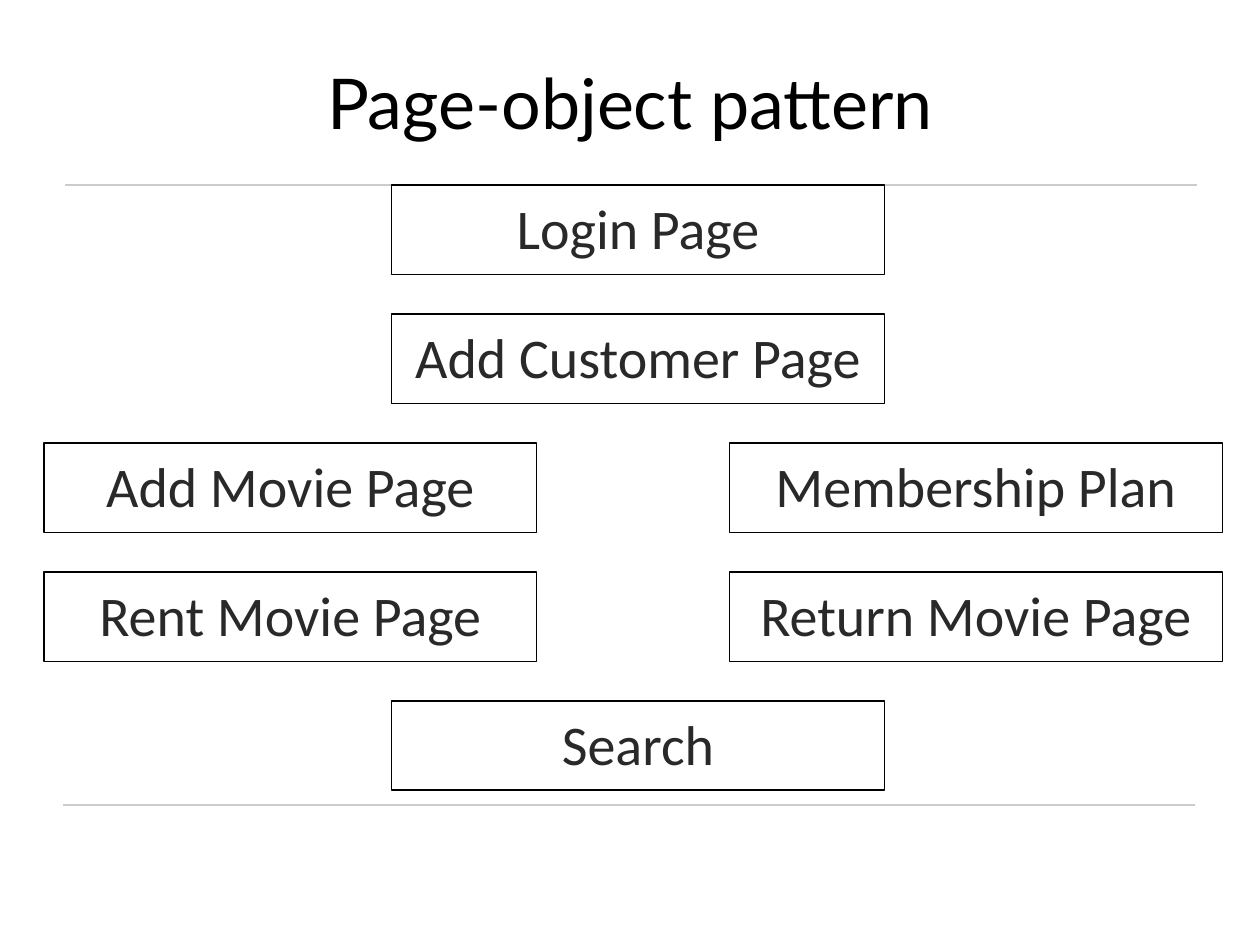
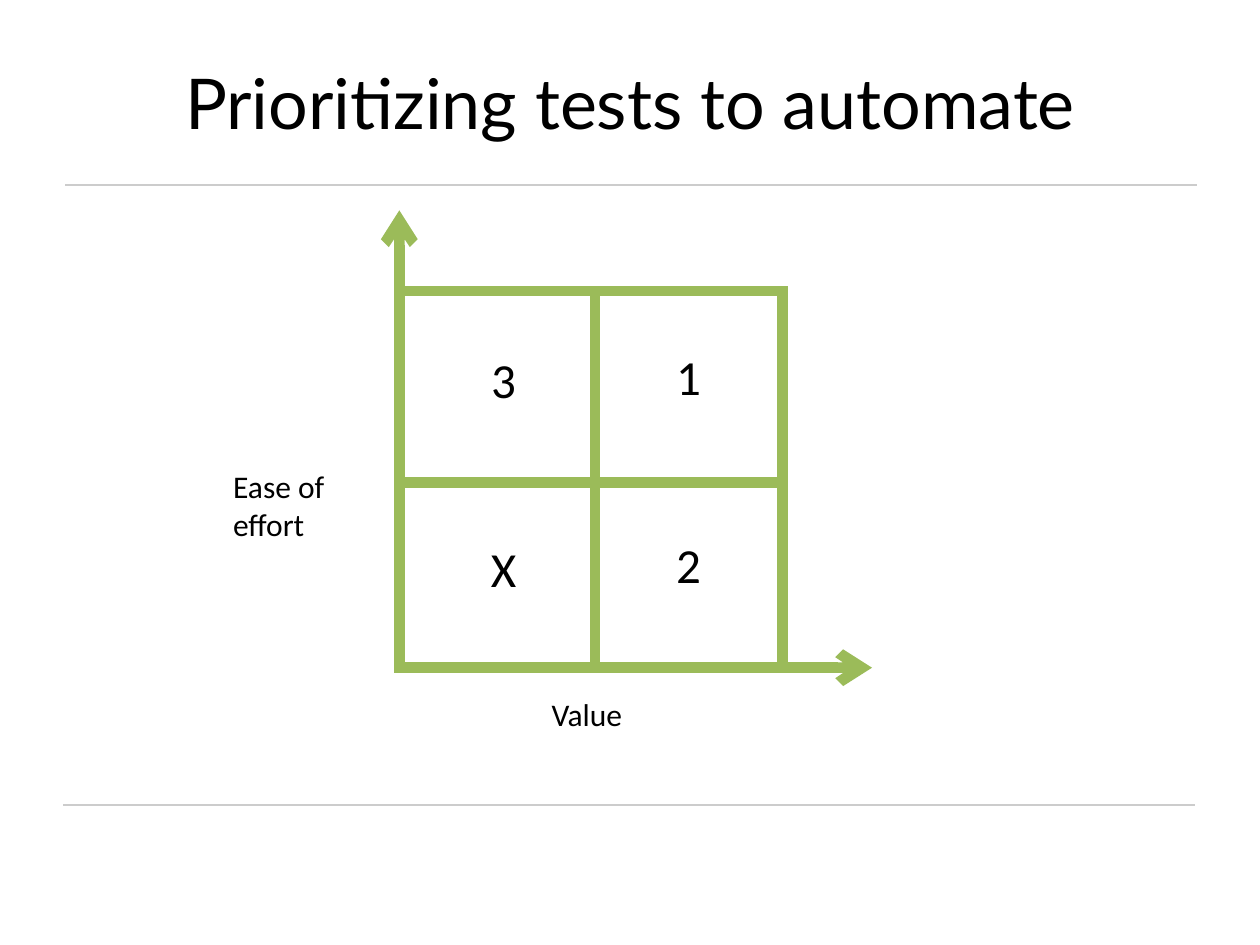
"""Build two test-automation slides: page objects and a priority matrix."""
from lxml import etree
from pptx import Presentation
from pptx.dml.color import RGBColor
from pptx.enum.shapes import MSO_CONNECTOR, MSO_SHAPE
from pptx.enum.text import MSO_ANCHOR, MSO_AUTO_SIZE, PP_ALIGN
from pptx.oxml.ns import qn
from pptx.util import Cm, Pt

STRAIGHT, RECTANGLE = MSO_CONNECTOR.STRAIGHT, MSO_SHAPE.RECTANGLE
TOP, MIDDLE = MSO_ANCHOR.TOP, MSO_ANCHOR.MIDDLE
LEFT, CENTER = PP_ALIGN.LEFT, PP_ALIGN.CENTER
GROW = MSO_AUTO_SIZE.SHAPE_TO_FIT_TEXT
BLACK = RGBColor(0x00, 0x00, 0x00)
CHARCOAL = RGBColor(0x29, 0x29, 0x29)
RULE_GREY = RGBColor(0xCC, 0xCC, 0xCC)
GREEN = RGBColor(0x9B, 0xBB, 0x59)

TITLE_FORMAT = {"name": "Lato", "size": Pt(40)}
PAGE_FORMAT = {"name": "Calibri", "size": Pt(32)}
AXIS_FORMAT = {"name": "Calibri", "size": Pt(18)}
RANK_FORMAT = {"name": "Calibri", "size": Pt(28)}
PAGE_FRAME = {"margin_left": Cm(0.36), "margin_right": Cm(0.36),
              "margin_top": Cm(0.18), "margin_bottom": Cm(0.18),
              "vertical_anchor": TOP, "word_wrap": True}
LABEL_FRAME = {"word_wrap": True, "auto_size": GROW}
TITLE_AREA = {"left": Cm(1.27), "top": Cm(0.76),
              "width": Cm(22.86), "height": Cm(2.57)}

RULES = [(1.27, 16.23, 24.08, 16.23), (1.32, 3.73, 24.13, 3.73)]

PAGES_TITLE = "Page-object pattern"
PAGE_ROWS = [
    {"middle": "Login Page"},
    {"middle": "Add Customer Page"},
    {"left": "Add Movie Page", "right": "Membership Plan"},
    {"left": "Rent Movie Page", "right": "Return Movie Page"},
    {"middle": "Search"},
]
PAGE_COLUMNS = {"left": 0.89, "middle": 7.9, "right": 14.71}
PAGE_TOP, PAGE_PITCH, PAGE_WIDTH, PAGE_HEIGHT = 3.73, 2.6, 9.93, 1.8

MATRIX_TITLE = "Prioritizing tests to automate"
AXES = [(8.05, 13.51, 8.05, 4.24), (7.95, 13.46, 17.58, 13.46)]
GRID_LINES = [(11.99, 13.46, 11.99, 5.77), (15.77, 13.51, 15.77, 5.82),
              (8.13, 9.73, 15.85, 9.73), (8.15, 5.87, 15.88, 5.87)]
AXIS_LABELS = [("Ease of effort", 4.45, 9.3, 1.8), ("Value", 10.87, 13.89, 1.02)]
RANK_COLUMNS = [(8.64, 6.93, ["3", "X"]), (12.37, 6.86, ["1", "2"])]
RANK_PITCH, RANK_HEIGHT, LABEL_WIDTH = 3.8, 1.45, 3.02


def apply(target, values):
    for attribute, value in values.items():
        setattr(target, attribute, value)


def write(frame, text, font_format, color, alignment):
    paragraph = frame.paragraphs[0]
    paragraph.alignment = alignment
    run = paragraph.add_run()
    run.text = text
    apply(run.font, font_format)
    run.font.color.rgb = color
    return paragraph


def add_line(shapes, ends, color, width, arrow=False):
    line = shapes.add_connector(STRAIGHT, *(Cm(end) for end in ends))
    line.line.color.rgb = color
    line.line.width = Pt(width)
    if arrow:
        etree.SubElement(line.line._get_or_add_ln(), qn("a:tailEnd"), type="arrow")
    etree.SubElement(line._element.spPr, qn("a:effectLst"))
    return line


def add_page(slide, text, left, top):
    page = slide.shapes.add_shape(RECTANGLE, Cm(left), Cm(top),
                                  Cm(PAGE_WIDTH), Cm(PAGE_HEIGHT))
    page.shadow.inherit = False
    page.fill.background()
    page.line.color.rgb = BLACK
    page.line.width = Pt(0.75)
    apply(page.text_frame, PAGE_FRAME)
    paragraph = write(page.text_frame, text, PAGE_FORMAT, CHARCOAL, CENTER)
    spacing = etree.SubElement(paragraph._p.get_or_add_pPr(), qn("a:spcBef"))
    etree.SubElement(spacing, qn("a:spcPct"), val="20000")


def add_label(slide, text, left, top, height, font_format, alignment):
    label = slide.shapes.add_textbox(Cm(left), Cm(top), Cm(LABEL_WIDTH), Cm(height))
    apply(label.text_frame, LABEL_FRAME)
    write(label.text_frame, text, font_format, BLACK, alignment)


def add_slide(deck, layout, title):
    slide = deck.slides.add_slide(layout)
    apply(slide.shapes.title, TITLE_AREA)
    slide.shapes.title.text_frame.vertical_anchor = MIDDLE
    write(slide.shapes.title.text_frame, title, TITLE_FORMAT, BLACK, CENTER)
    return slide


def move_rules_to_layout(slide, layout):
    for number, ends in enumerate(RULES, start=20):
        rule = add_line(slide.shapes, ends, RULE_GREY, 1)
        rule._element.nvCxnSpPr.cNvPr.set("id", str(number))
        layout.shapes.element.append(rule._element)


deck = Presentation()
deck.slide_width, deck.slide_height = Cm(25.4), Cm(19.05)
title_only = deck.slide_layouts[5]

pages_slide = add_slide(deck, title_only, PAGES_TITLE)
move_rules_to_layout(pages_slide, title_only)
for row, pages in enumerate(PAGE_ROWS):
    for column, page_name in pages.items():
        add_page(pages_slide, page_name, PAGE_COLUMNS[column],
                 PAGE_TOP + row * PAGE_PITCH)

matrix_slide = add_slide(deck, title_only, MATRIX_TITLE)
for axis in AXES:
    add_line(matrix_slide.shapes, axis, GREEN, 6, arrow=True)
for text, left, top, height in AXIS_LABELS:
    add_label(matrix_slide, text, left, top, height, AXIS_FORMAT, LEFT)
grid = matrix_slide.shapes.add_group_shape()
for grid_line in GRID_LINES:
    add_line(grid.shapes, grid_line, GREEN, 6)
for left, top, ranks in RANK_COLUMNS:
    for row, rank in enumerate(ranks):
        add_label(matrix_slide, rank, left, top + row * RANK_PITCH,
                  RANK_HEIGHT, RANK_FORMAT, CENTER)

deck.save("out.pptx")
